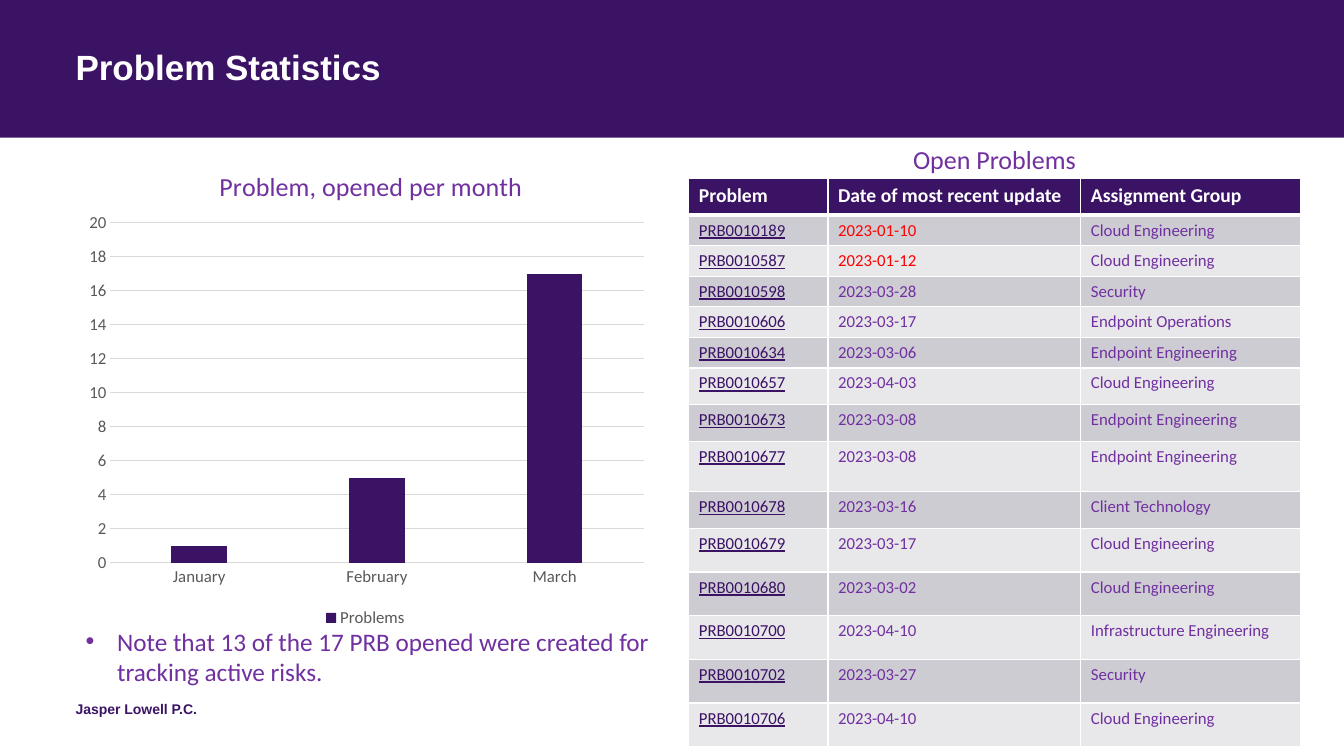
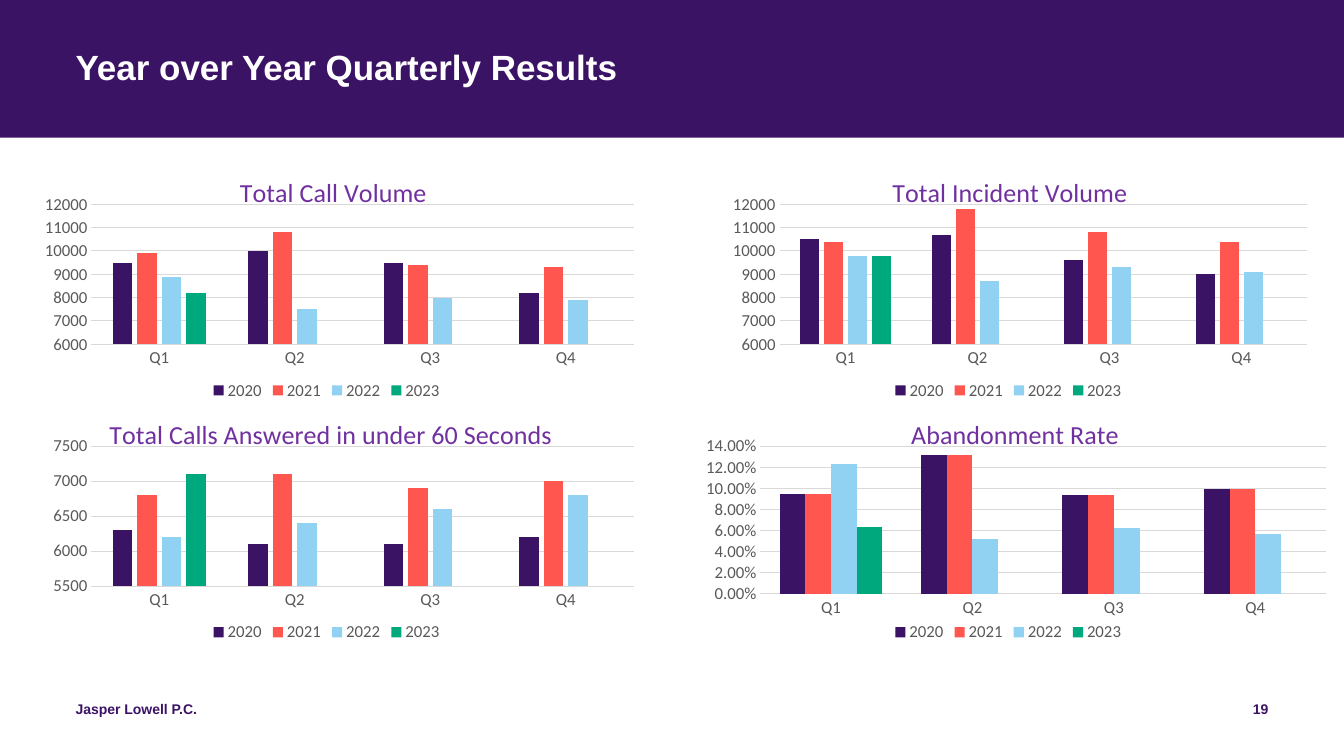
from lxml import etree
from pptx import Presentation
from pptx.chart.data import CategoryChartData
from pptx.dml.color import RGBColor
from pptx.enum.chart import XL_CHART_TYPE as ChartType, XL_LEGEND_POSITION as LegendPos, XL_TICK_MARK as Tick
from pptx.enum.shapes import MSO_SHAPE as Shape
from pptx.enum.text import MSO_ANCHOR as Anchor, MSO_AUTO_SIZE as AutoSize, PP_ALIGN as Align
from pptx.oxml.ns import qn
from pptx.util import Pt

PLUM = RGBColor(0x3B, 0x13, 0x65)
LINK = RGBColor(0x3B, 0x12, 0x64)
PURPLE = RGBColor(0x70, 0x30, 0xA0)
RED = RGBColor(0xFF, 0x00, 0x00)
CORAL = RGBColor(0xFF, 0x57, 0x50)
SKY = RGBColor(0x91, 0xD2, 0xF2)
GREEN = RGBColor(0x00, 0xA8, 0x7E)
WHITE = RGBColor(0xFF, 0xFF, 0xFF)
GREY = RGBColor(0x59, 0x59, 0x59)
GRID = RGBColor(0xD9, 0xD9, 0xD9)
STRIPES = (RGBColor(0xCE, 0xCC, 0xD3), RGBColor(0xE8, 0xE7, 0xEA))
SERIES_COLORS = (PLUM, CORAL, SKY, GREEN)

SLIDE_W, SLIDE_H = 960, 540
MARGIN = 54
FOOTER = "Jasper Lowell P.C."

# Content: problem statistics
NOTE = "Note that 13 of the 17 PRB opened were created for tracking active risks."
MONTHLY = dict(
    title="Problem, opened per month", title_at=(0.24, 0.05), box=(MARGIN, 99.4, 414, 352),
    plot=(0.06, 0.17, 0.92, 0.69), cats=["January", "February", "March"],
    series={"Problems": [1, 5, 17]}, scale=(0, 20, 2))
HEADER = ("Problem", "Date of most recent update", "Assignment Group")
PROBLEMS = [  # number, last update, group, row height
    ("PRB0010189", "2023-01-10", "Cloud Engineering", 21.8),
    ("PRB0010587", "2023-01-12", "Cloud Engineering", 21.8),
    ("PRB0010598", "2023-03-28", "Security", 21.8),
    ("PRB0010606", "2023-03-17", "Endpoint Operations", 21.8),
    ("PRB0010634", "2023-03-06", "Endpoint Engineering", 21.8),
    ("PRB0010657", "2023-04-03", "Cloud Engineering", 26.2),
    ("PRB0010673", "2023-03-08", "Endpoint Engineering", 26.2),
    ("PRB0010677", "2023-03-08", "Endpoint Engineering", 36),
    ("PRB0010678", "2023-03-16", "Client Technology", 26.2),
    ("PRB0010679", "2023-03-17", "Cloud Engineering", 31.2),
    ("PRB0010680", "2023-03-02", "Cloud Engineering", 31.2),
    ("PRB0010700", "2023-04-10", "Infrastructure Engineering", 31.2),
    ("PRB0010702", "2023-03-27", "Security", 31.2),
    ("PRB0010706", "2023-04-10", "Cloud Engineering", 31.2),
]
OVERDUE = {"2023-01-10", "2023-01-12"}
TABLE_X, TABLE_Y = 492, 127.4
COLUMNS = (99.4, 180.7, 156.6)

# Content: quarterly results, each series one year
QUARTERS = ["Q1", "Q2", "Q3", "Q4"]
LEFT, RIGHT = (0, 466.6), (493.2, 454.3)
TOPS, CHART_H = (110.2, 283), 178.6
PLOT = (0.14, 0.2, 0.83, 0.56)
QUARTERLY = [
    dict(title="Total Call Volume", title_at=(0.36, 0.06), column=LEFT, row=0,
         scale=(6000, 12000, 1000),
         series={"2020": [9500, 10000, 9500, 8200], "2021": [9900, 10800, 9400, 9300],
                 "2022": [8900, 7500, 8000, 7900], "2023": [8200, None, None, None]}),
    dict(title="Total Incident Volume", title_at=(0.31, 0.06), column=RIGHT, row=0,
         scale=(6000, 12000, 1000),
         series={"2020": [10500, 10700, 9600, 9000], "2021": [10400, 11800, 10800, 10400],
                 "2022": [9800, 8700, 9300, 9100], "2023": [9800, None, None, None]}),
    dict(title="Total Calls Answered in under 60 Seconds", title_at=(0.16, 0.06), column=LEFT, row=1,
         scale=(5500, 7500, 500),
         series={"2020": [6300, 6100, 6100, 6200], "2021": [6800, 7100, 6900, 7000],
                 "2022": [6200, 6400, 6600, 6800], "2023": [7100, None, None, None]}),
    dict(title="Abandonment Rate", title_at=(0.34, 0.06), column=RIGHT, row=1,
         scale=(0, 0.14, 0.02), fmt="0.00%", gap=150, overlap=0, plot=(0.11, 0.2, 0.89, 0.59),
         series={"2020": [0.095, 0.132, 0.094, 0.099], "2021": [0.095, 0.132, 0.094, 0.099],
                 "2022": [0.123, 0.052, 0.062, 0.057], "2023": [0.063, None, None, None]}),
]


def style(font, size, color, name="Calibri", bold=False):
    font.name, font.size, font.bold = name, Pt(size), bold
    font.color.rgb = color


def place(sp, x, y, w, h):
    sp.left, sp.top, sp.width, sp.height = Pt(x), Pt(y), Pt(w), Pt(h)


def write(sp, text, size, color, name="Calibri", bold=False, align=Align.LEFT, inset=True):
    tf = sp.text_frame
    tf.text = text
    tf.word_wrap, tf.auto_size, tf.vertical_anchor = True, AutoSize.NONE, Anchor.TOP
    if not inset:
        tf.margin_left = tf.margin_top = tf.margin_right = tf.margin_bottom = 0
    p = tf.paragraphs[0]
    p.alignment = align
    style(p.runs[0].font, size, color, name, bold)
    return p


def add_text(s, box, *args, **kwargs):
    sp = s.shapes.add_textbox(*map(Pt, box))
    write(sp, *args, **kwargs)
    return sp


def add_footer(s, x, w, text, align=Align.LEFT):
    return add_text(s, (x, 500.4, w, 28.8), text, 10, PLUM, "Arial", True, align, inset=False)


def new_slide(prs, layout, title):
    s = prs.slides.add_slide(prs.slide_layouts[layout])
    place(s.shapes.title, MARGIN, 36, SLIDE_W - 2 * MARGIN, 58.3)
    p = write(s.shapes.title, title, 25, WHITE, "Arial", True, inset=False)
    p.line_spacing = 0.9
    return s


def dress_master(prs, s):
    """Draw the band and footer once and hand them to the slide master."""
    band = s.shapes.add_shape(Shape.RECTANGLE, 0, 0, Pt(SLIDE_W), Pt(98.4))
    band.shadow.inherit = False
    band.fill.solid()
    band.fill.fore_color.rgb = PLUM
    band.line.fill.background()
    footer = add_footer(s, MARGIN, 324, FOOTER)
    tree = prs.slide_master.shapes.element
    tree.insert(2, band.element)
    tree.insert(3, footer.element)


def set_layout(parent, index, **edges):
    """Give a chart part a manual layout in fractions of the chart."""
    for old in parent.findall(qn("c:layout")):
        parent.remove(old)
    layout = etree.Element(qn("c:layout"))
    manual = etree.SubElement(layout, qn("c:manualLayout"))
    modes = {"xMode": "edge", "yMode": "edge"}
    if "w" in edges:
        modes = {"layoutTarget": "inner", **modes}
    for tag, val in {**modes, **edges}.items():
        etree.SubElement(manual, qn("c:" + tag)).set("val", str(val))
    parent.insert(index, layout)


def add_columns(s, box, title, title_at, cats, series, scale, plot=PLOT,
                fmt="General", gap=219, overlap=-27):
    data = CategoryChartData(number_format=fmt)
    data.categories = cats
    for name, values in series.items():
        data.add_series(name, values)
    chart = s.shapes.add_chart(ChartType.COLUMN_CLUSTERED, *map(Pt, box), data).chart
    style(chart.font, 12, GREY)

    # Title and legend
    chart.has_title = True
    tf = chart.chart_title.text_frame
    tf.text = title
    style(tf.paragraphs[0].runs[0].font, 18.6, PURPLE)
    set_layout(tf._txBody.getparent().getparent(), 1, x=title_at[0], y=title_at[1])
    chart.has_legend = True
    chart.legend.position = LegendPos.BOTTOM
    chart.legend.include_in_layout = False
    style(chart.legend.font, 12, GREY)

    # Axes
    cat, val = chart.category_axis, chart.value_axis
    for axis in (cat, val):
        axis.major_tick_mark = axis.minor_tick_mark = Tick.NONE
        style(axis.tick_labels.font, 12, GREY)
    val.minimum_scale, val.maximum_scale, val.major_unit = scale
    val.tick_labels.number_format = fmt
    val.tick_labels.number_format_is_linked = False
    val.format.line.fill.background()
    val.has_major_gridlines = True
    for line in (cat.format.line, val.major_gridlines.format.line):
        line.color.rgb = GRID
        line.width = Pt(0.75)

    # Columns
    bars = chart.plots[0]
    bars.vary_by_categories = False
    bars.gap_width, bars.overlap = gap, overlap
    for ser, color in zip(bars.series, SERIES_COLORS):
        ser.format.fill.solid()
        ser.format.fill.fore_color.rgb = color
        ser.invert_if_negative = False
    area = chart.element.find(".//" + qn("c:plotArea"))
    set_layout(area, 0, **dict(zip("xywh", plot)))


def set_borders(cell, bottom):
    props = cell._tc.get_or_add_tcPr()
    for i, (side, width) in enumerate(zip("LRTB", (1, 1, 1, bottom))):
        ln = etree.Element(qn("a:ln" + side), w=str(Pt(width)))
        fill = etree.SubElement(ln, qn("a:solidFill"))
        etree.SubElement(fill, qn("a:srgbClr"), val=str(WHITE))
        props.insert(i, ln)


def fill_cell(cell, text, fill, size, color, bold=False, underline=False, bottom=1):
    cell.text = text
    font = cell.text_frame.paragraphs[0].runs[0].font
    style(font, size, color, bold=bold)
    font.underline = underline
    cell.fill.solid()
    cell.fill.fore_color.rgb = fill
    set_borders(cell, bottom)


def add_problem_table(s):
    heights = [26.2] + [row[3] for row in PROBLEMS]
    table = s.shapes.add_table(len(heights), len(COLUMNS), Pt(TABLE_X), Pt(TABLE_Y),
                               Pt(sum(COLUMNS)), Pt(sum(heights))).table
    for col, width in zip(table.columns, COLUMNS):
        col.width = Pt(width)
    for row, height in zip(table.rows, heights):
        row.height = Pt(height)
    for c, text in enumerate(HEADER):
        fill_cell(table.cell(0, c), text, PLUM, 14, WHITE, bold=True, bottom=3)
    for r, (number, date, group, _) in enumerate(PROBLEMS, 1):
        stripe = STRIPES[(r - 1) % 2]
        fill_cell(table.cell(r, 0), number, stripe, 12, LINK, underline=True)
        fill_cell(table.cell(r, 1), date, stripe, 12, RED if date in OVERDUE else PURPLE)
        fill_cell(table.cell(r, 2), group, stripe, 12, PURPLE)


def build_statistics(prs):
    s = new_slide(prs, 1, "Problem Statistics")
    dress_master(prs, s)
    add_columns(s, **MONTHLY)
    add_problem_table(s)
    add_text(s, (TABLE_X, 98.6, sum(COLUMNS), 29.5), "Open Problems", 18.6, PURPLE,
             align=Align.CENTER)

    # Bulleted note, in front of the chart
    body = s.placeholders[1]
    place(body, MARGIN, 443.5, 438, 51)
    p = write(body, NOTE, 18, PURPLE)
    p.space_before = Pt(0)
    props = p._p.get_or_add_pPr()
    props.set("marL", str(Pt(22.5)))
    props.set("indent", str(-Pt(22.5)))
    etree.SubElement(props, qn("a:buFont"), typeface="Arial")
    etree.SubElement(props, qn("a:buChar"), char="•")
    s.shapes.element.append(body.element)


def build_quarterly(prs):
    s = new_slide(prs, 5, "Year over Year Quarterly Results")
    for item in QUARTERLY:
        x, w = item["column"]
        options = {k: v for k, v in item.items() if k not in ("column", "row")}
        add_columns(s, (x, TOPS[item["row"]], w, CHART_H), cats=QUARTERS, **options)
    add_footer(s, SLIDE_W - MARGIN - 216, 216, "19", Align.RIGHT)


def main():
    prs = Presentation()
    prs.slide_width, prs.slide_height = Pt(SLIDE_W), Pt(SLIDE_H)
    build_statistics(prs)
    build_quarterly(prs)
    prs.save("out.pptx")


if __name__ == "__main__":
    main()
